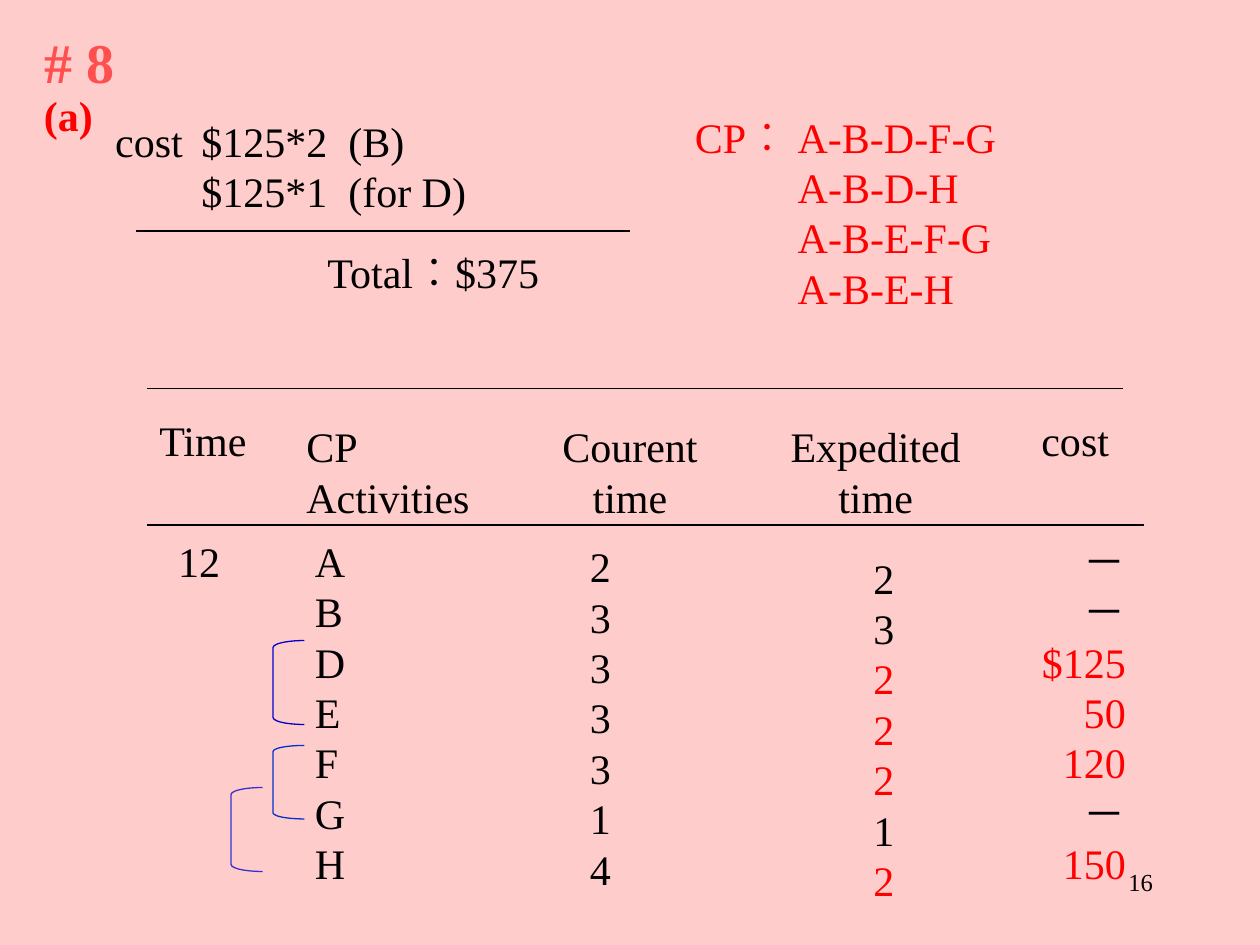
"""Build a slide that works out the cost of expediting critical path activities."""
import lxml.etree
import pptx
import pptx.dml.color
import pptx.enum.shapes
import pptx.enum.text
import pptx.oxml.ns
import pptx.util

COLORS = {"background": "FFCCCC", "heading": "FF5050", "red": "FF0000", "black": "000000",
          "D-E": "0000CC", "F-G": "0033CC", "F-H": "3333CC"}
ALIGN = pptx.enum.text.PP_ALIGN

deck = pptx.Presentation()
deck.slide_width = pptx.util.Inches(10)
deck.slide_height = pptx.util.Inches(7.5)
cell = deck.slide_width / 120
slide = deck.slides.add_slide(deck.slide_layouts[5])
slide.background.fill.solid()
slide.background.fill.fore_color.rgb = pptx.dml.color.RGBColor.from_string(COLORS["background"])


def grid(*cells):
    return [pptx.util.Emu(round(count * cell)) for count in cells]


def write(text, at, holder=None, size=24, color="black", red_lines=(), bold=False,
          align=ALIGN.LEFT, indents=(), tabs=()):
    box = holder or slide.shapes.add_textbox(*grid(*at))
    box.left, box.top, box.width, box.height = grid(*at)
    frame = box.text_frame
    frame.word_wrap = True
    frame.auto_size = pptx.enum.text.MSO_AUTO_SIZE.NONE
    frame.vertical_anchor = pptx.enum.text.MSO_ANCHOR.TOP
    for number, line in enumerate(text.split("\n")):
        paragraph = frame.add_paragraph() if number else frame.paragraphs[0]
        paragraph.alignment = align
        paragraph.line_spacing = pptx.util.Pt(size * 1.2)
        properties = paragraph._p.get_or_add_pPr()
        if number < len(indents):
            properties.set("marL", str(grid(indents[number])[0]))
        if tabs:
            stops = lxml.etree.SubElement(properties, pptx.oxml.ns.qn("a:tabLst"))
            for stop in grid(*tabs):
                lxml.etree.SubElement(stops, pptx.oxml.ns.qn("a:tab"), pos=str(stop), algn="l")
        run = paragraph.add_run()
        run.text = line
        run.font.name = "Times New Roman"
        run.font.size = pptx.util.Pt(size)
        run.font.bold = bold
        shade = COLORS["red" if number in red_lines else color]
        run.font.color.rgb = pptx.dml.color.RGBColor.from_string(shade)


write("# 8", (3, 2, 12, 7.7), holder=slide.shapes.title, size=32, color="heading", bold=True)
write("(a)", (3, 7.9, 8, 6), color="red", bold=True)
write("cost\t$125*2\t(B)\n\t$125*1\t(for D)", (9.8, 10.4, 37, 10.8), tabs=(8.2, 22.2))
write("Total︰$375", (30, 22.9, 28, 6))
write("CP︰ A-B-D-F-G\nA-B-D-H\nA-B-E-F-G\nA-B-E-H", (65, 10, 36, 20.4), color="red",
      indents=(0, 9.8, 9.8, 9.8))

for left, right, row in ((13, 60, 22), (14, 107, 37), (14, 109, 50)):
    rule = slide.shapes.add_connector(pptx.enum.shapes.MSO_CONNECTOR.STRAIGHT,
                                      *grid(left, row, right, row))
    rule.line.width = pptx.util.Pt(0.75)
    rule.line.color.rgb = pptx.dml.color.RGBColor.from_string(COLORS["black"])
    lxml.etree.SubElement(rule._element.spPr, pptx.oxml.ns.qn("a:effectLst"))

for heading, left, top, width, align in (
        ("Time", 14, 38.9, 12, ALIGN.LEFT),
        ("CP\nActivities", 28, 39.5, 19, ALIGN.LEFT),
        ("Courent\ntime", 51, 39.5, 18, ALIGN.CENTER),
        ("Expedited\ntime", 73.4, 39.5, 20, ALIGN.CENTER),
        ("cost", 98, 38.9, 10, ALIGN.LEFT)):
    write(heading, (left, top, width, 10.8), align=align)

for entries, left, top, width, align, red_lines in (
        ("12", 15.8, 50.4, 7, ALIGN.LEFT, ()),
        ("ABDEFGH", 28.8, 50.4, 5.4, ALIGN.LEFT, ()),
        ("2333314", 55, 50.9, 5, ALIGN.LEFT, ()),
        ("2322212", 82, 52, 5, ALIGN.LEFT, (2, 3, 4, 6)),
        (("－", "－", "$125", "50", "120", "－", "150"), 96.4, 50.4, 12, ALIGN.RIGHT, (2, 3, 4, 6))):
    column = entries if entries == "12" else "\n".join(entries)
    write(column, (left, top, width, 34.8), align=align, red_lines=red_lines)

for span, left, top, height in (("D-E", 26, 61, 8), ("F-G", 26, 71, 7), ("F-H", 22, 75, 8)):
    bracket = slide.shapes.add_shape(pptx.enum.shapes.MSO_SHAPE.LEFT_BRACKET,
                                     *grid(left, top, 3, height))
    bracket.adjustments[0] = height / 36
    bracket.shadow.inherit = False
    bracket.fill.background()
    bracket.line.width = pptx.util.Pt(0.75)
    bracket.line.color.rgb = pptx.dml.color.RGBColor.from_string(COLORS[span])

write("16", (86, 82, 25, 6), size=14, align=ALIGN.RIGHT)

deck.save("out.pptx")
